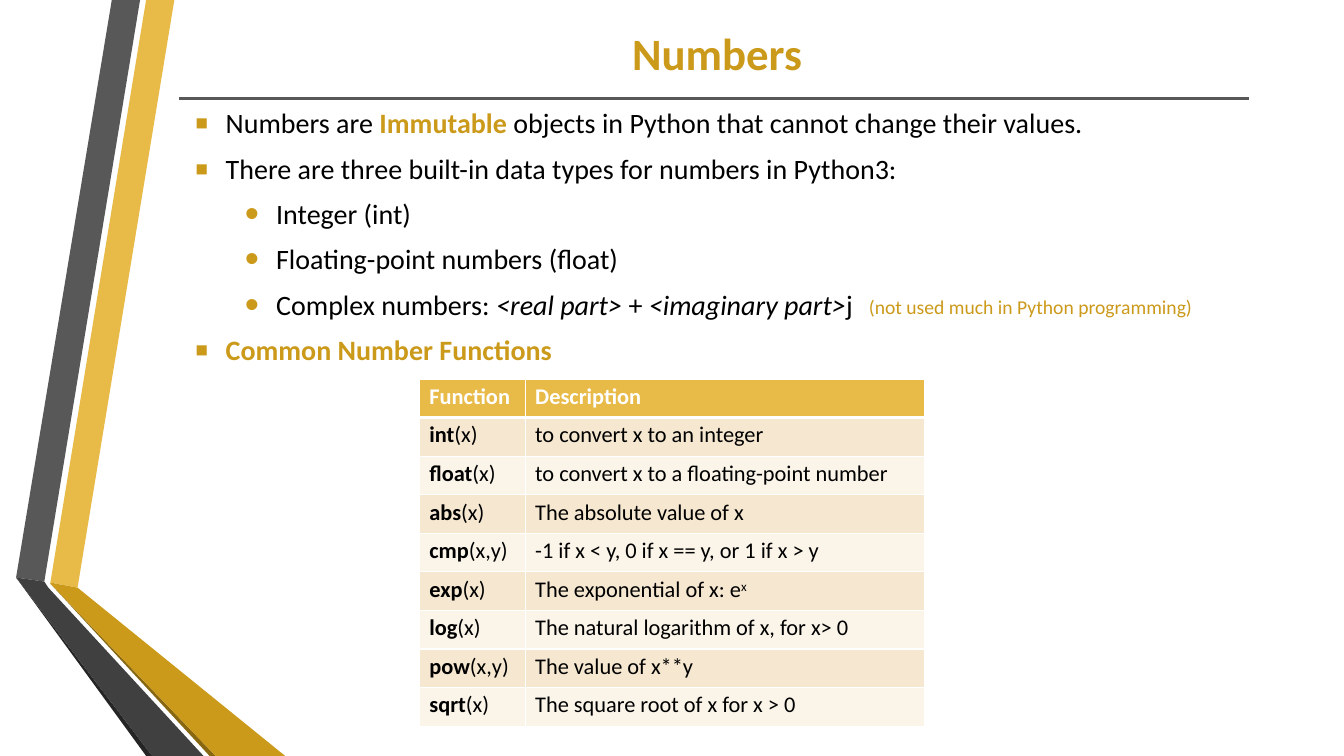
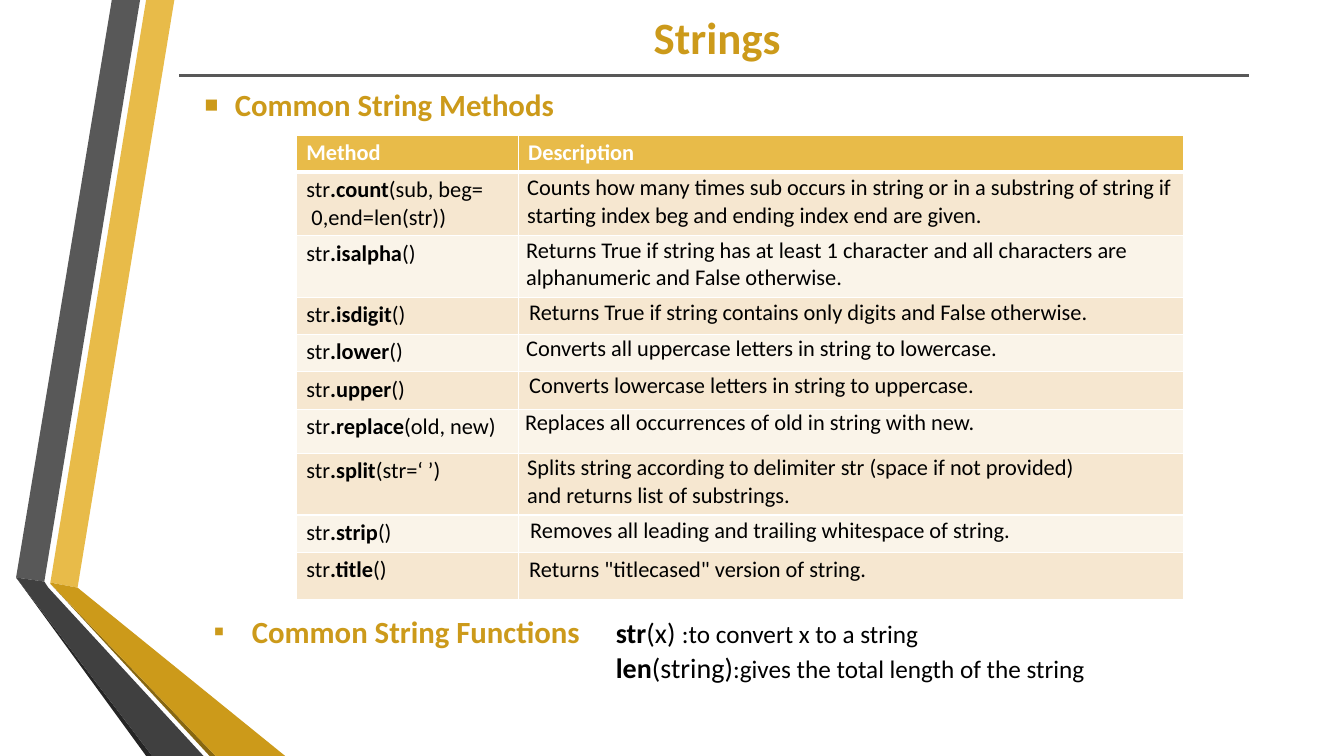
import pptx
import pptx.dml.color
import pptx.enum.shapes
import pptx.enum.text
import pptx.oxml
import pptx.oxml.ns
import pptx.util
from lxml import etree

GOLD, AMBER, GREY, BLACK, WHITE = "CC9A1A", "E8BB49", "585858", "000000", "FFFFFF"
BANDS = ("F6E7D0", "FAF4E9")
RIBBONS = [
    (AMBER, [(17.3, 0), (14.5, 0), (5, 57.8), (7.7, 58.3)]),
    (GREY, [(13.9, 0), (11.1, 0), (1.6, 57.3), (4.4, 57.7)]),
    ("252525", [(1.6, 57.3), (14.5, 75), (15.1, 75)]),
    ("876711", [(5, 57.9), (20.8, 75), (21.4, 75)]),
    (GOLD, [(5, 57.8), (5, 57.9), (21.4, 75), (28.3, 75), (7.7, 58.3)]),
    ("404040", [(1.6, 57.3), (15.1, 75), (20.2, 75), (4.8, 58.3), (4.4, 57.7)]),
]
BOLD, PLAIN, ITALIC = {"bold": True}, {"bold": False}, {"italic": True}
ACCENT = {"color": GOLD, "bold": True}
SMALL = {"size": pptx.util.Pt(18)}
HEADING = {**ACCENT, "size": pptx.util.Pt(22)}
RAISED = {"baseline": "26000"}


def rgb(value):
    return pptx.dml.color.RGBColor.from_string(value)


def grid(count):
    return pptx.util.Inches(count / 10)


class Deck:
    text_style = {"name": "Calibri", "size": pptx.util.Pt(20), "color": BLACK}
    title_style = {**text_style, **ACCENT, "size": pptx.util.Pt(32)}
    cell_style = {**text_style, "size": pptx.util.Pt(16)}
    frame_style = {
        "margin_left": 0, "margin_right": 0, "margin_bottom": 0,
        "margin_top": grid(0.1),
        "vertical_anchor": pptx.enum.text.MSO_ANCHOR.TOP,
        "auto_size": pptx.enum.text.MSO_AUTO_SIZE.NONE,
        "word_wrap": True,
    }

    def __init__(self):
        self.presentation = pptx.Presentation()
        self.presentation.slide_width = grid(133.33)
        self.presentation.slide_height = grid(75)
        self.layout = self.presentation.slide_layouts[5]
        self.slide = None

    def apply(self, target, values):
        for attribute, value in values.items():
            setattr(target, attribute, value)

    def place(self, shape, box):
        edges = ("left", "top", "width", "height")
        self.apply(shape, dict(zip(edges, map(grid, box))))

    def add_runs(self, paragraph, runs, style):
        for text, *changes in runs:
            values = {**style, **(changes[0] if changes else {})}
            color, baseline = values.pop("color"), values.pop("baseline", None)
            for index, line in enumerate(text.split("\n")):
                if index:
                    paragraph.add_line_break()
                run = paragraph.add_run()
                run.text = line
                self.apply(run.font, values)
                run.font.color.rgb = rgb(color)
                if baseline:
                    run._r.get_or_add_rPr().set("baseline", baseline)

    def start_slide(self, title, box, rule_row):
        self.slide = self.presentation.slides.add_slide(self.layout)
        heading = self.slide.shapes.title
        self.place(heading, box)
        self.apply(heading.text_frame, {**self.frame_style, "word_wrap": False})
        paragraph = heading.text_frame.paragraphs[0]
        paragraph.alignment = pptx.enum.text.PP_ALIGN.CENTER
        self.add_runs(paragraph, [(title,)], self.title_style)
        self.rule(17.8, 123.9, rule_row)

    def rule(self, start, end, row):
        rule = self.slide.shapes.add_connector(
            pptx.enum.shapes.MSO_CONNECTOR.STRAIGHT,
            grid(start), grid(row), grid(end), grid(row))
        rule.line.color.rgb = rgb(GREY)
        rule.line.width = pptx.util.Pt(2.25)
        etree.SubElement(rule.element.spPr, pptx.oxml.ns.qn("a:effectLst"))

    def bullet(self, paragraph, mark, margin, hanging, percent):
        properties = paragraph._p.get_or_add_pPr()
        properties.set("marL", str(grid(margin)))
        properties.set("indent", str(-grid(hanging)))
        namespace = pptx.oxml.ns.nsdecls("a")
        for markup in (
            f'<a:buClr {namespace}><a:srgbClr val="{GOLD}"/></a:buClr>',
            f'<a:buSzPct {namespace} val="{percent * 1000}"/>',
            f'<a:buFont {namespace} typeface="Arial"/>',
            f'<a:buChar {namespace} char="{mark}"/>',
        ):
            properties.append(pptx.oxml.parse_xml(markup))

    def text(self, box, paragraphs, gap=8.4, hanging=3.1, percent=145):
        frame = self.slide.shapes.add_textbox(*map(grid, box)).text_frame
        self.apply(frame, self.frame_style)
        for index, (mark, margin, runs) in enumerate(paragraphs):
            paragraph = frame.add_paragraph() if index else frame.paragraphs[0]
            if index:
                paragraph.space_before = pptx.util.Pt(gap)
            if mark:
                self.bullet(paragraph, mark, margin, hanging, percent)
            self.add_runs(paragraph, runs, self.text_style)

    def cell(self, cell, runs, fill, style, insets, edges):
        self.apply(cell, {
            "margin_left": grid(insets[0]), "margin_top": grid(insets[1]),
            "margin_right": 0, "margin_bottom": 0,
        })
        cell.fill.solid()
        cell.fill.fore_color.rgb = rgb(fill)
        self.add_runs(cell.text_frame.paragraphs[0], runs, style)
        properties = cell._tc.get_or_add_tcPr()
        for index, (side, points) in enumerate(edges.items()):
            properties.insert(index, pptx.oxml.parse_xml(
                f'<a:ln{side} {pptx.oxml.ns.nsdecls("a")} w="{pptx.util.Pt(points)}">'
                f'<a:solidFill><a:srgbClr val="{WHITE}"/></a:solidFill></a:ln{side}>'))

    def table(self, left, top, widths, heights, header, entries):
        table = self.slide.shapes.add_table(
            len(heights), len(widths), grid(left), grid(top),
            grid(sum(widths)), grid(sum(heights))).table
        for column, width in zip(table.columns, widths):
            column.width = grid(width)
        for row, height in zip(table.rows, heights):
            row.height = grid(height)
        header_style = {**self.cell_style, "color": WHITE, "bold": True}
        body_style = {**self.cell_style, **PLAIN}
        records = [([(label,)] for label in header)]
        records += [entry[:2] for entry in entries]
        insets = [(1, 0.4)] + [entry[2] for entry in entries]
        for index, record in enumerate(records):
            fill = BANDS[(index - 1) % 2] if index else AMBER
            style = body_style if index else header_style
            edges = {"L": 1, "R": 1, "T": 3 if index == 1 else 1, "B": 1 if index else 3}
            for column, runs in enumerate(record):
                inset = insets[index] if column else (1, 0.4)
                self.cell(table.cell(index, column), runs, fill, style, inset, edges)

    def ribbons(self):
        for index, (color, corners) in enumerate(RIBBONS):
            points = [(grid(x), grid(y)) for x, y in corners]
            builder = self.slide.shapes.build_freeform(*points[0], scale=1)
            builder.add_line_segments(points[1:], close=True)
            ribbon = builder.convert_to_shape()
            ribbon.shadow.inherit = False
            ribbon.fill.solid()
            ribbon.fill.fore_color.rgb = rgb(color)
            ribbon.line.fill.background()
            ribbon.element.nvSpPr.cNvPr.id = 100 + index
            self.layout.shapes.element.append(ribbon.element)


def numbers(deck):
    deck.start_slide("Numbers", (62.6, 2.5, 17.1, 5.6), 9.8)
    deck.text((19.1, 10.4, 92, 12.9), [
        ("▪", 3.3, [("Numbers are ",), ("Immutable ", ACCENT),
                    ("objects in Python that cannot change their values.",)]),
        ("▪", 3.3, [("There are three built-in data types for numbers in Python3:",)]),
        ("•", 8.3, [("Integer (int)",)]),
    ])
    deck.text((24.1, 23.9, 62, 8.4), [
        ("•", 3.3, [("Floating-point numbers (float)",)]),
        ("•", 3.3, [("Complex numbers: ",), ("<real part> ", ITALIC), ("+ ",),
                    ("<imaginary part>", ITALIC), ("j",)]),
    ])
    remark = {"color": GOLD, "size": pptx.util.Pt(14)}
    deck.text((86.2, 29.2, 34, 2.6), [
        (None, 0, [("(not used much in Python programming)", remark)])])
    deck.text((19.1, 32.9, 37, 3.6), [
        ("▪", 3.3, [("Common Number Functions", ACCENT)])])
    functions = [
        ("int", "(x)", [("to convert x to an integer",)]),
        ("float", "(x)", [("to convert x to a floating-point number",)]),
        ("abs", "(x)", [("The absolute value of x",)]),
        ("cmp", "(x,y)", [("-1 if x < y, 0 if x == y, or 1 if x > y",)]),
        ("exp", "(x)", [("The exponential of x: e",), ("x", RAISED)]),
        ("log", "(x)", [("The natural logarithm of x, for x> 0",)]),
        ("pow", "(x,y)", [("The value of x**y",)]),
        ("sqrt", "(x)", [("The square root of x for x > 0",)]),
    ]
    entries = [([(name, BOLD), (arguments,)], description, (1, 0.4))
               for name, arguments, description in functions]
    deck.table(41.6, 37.6, (10.5, 39.6), [3.83] * 9, ("Function", "Description"), entries)


def strings(deck):
    deck.start_slide("Strings", (64.7, 0.9, 12.9, 5.6), 7.5)
    deck.text((20, 8.4, 37, 3.9), [("▪", 3.3, [("Common String Methods", HEADING)])])
    methods = [
        (6.3, "count", "(sub, beg=\n 0,end=len(str))",
         "Counts how many times sub occurs in string or in a substring of string if\n"
         "starting index beg and ending index end are given.", (0.9, 0.2)),
        (6.1, "isalpha", "()",
         "Returns True if string has at least 1 character and all characters are\n"
         "alphanumeric and False otherwise.", (0.8, 0.1)),
        (3.7, "isdigit", "()",
         "Returns True if string contains only digits and False otherwise.", (1.1, 0.2)),
        (3.7, "lower", "()",
         "Converts all uppercase letters in string to lowercase.", (0.8, 0.1)),
        (3.7, "upper", "()",
         "Converts lowercase letters in string to uppercase.", (1.1, 0)),
        (4.4, "replace", "(old, new)",
         "Replaces all occurrences of old in string with new.", (0.7, 0)),
        (6.1, "split", "(str=‘ ’)",
         "Splits string according to delimiter str (space if not provided)\n"
         "and returns list of substrings.", (0.9, 0.1)),
        (3.7, "strip", "()",
         "Removes all leading and trailing whitespace of string.", (1.2, 0.2)),
        (4.7, "title", "()",
         "Returns \"titlecased\" version of string.", (1.1, 0.4)),
    ]
    heights = [3.7] + [method[0] for method in methods]
    entries = [([("str",), ("." + name, BOLD), (arguments,)], [(description,)], insets)
               for _, name, arguments, description, insets in methods]
    deck.table(29.4, 13.4, (22, 66), heights, ("Method", "Description"), entries)
    deck.text((21.1, 60.7, 38, 3.9), [("▪", 3.9, [("Common String Functions", HEADING)])],
              hanging=3.8, percent=100)
    deck.text((61.1, 61, 48, 7), [
        (None, 0, [("str", BOLD), ("(x) ",), (":to convert x to a string", SMALL)]),
        (None, 0, [("len", BOLD), ("(string)",),
                   (":gives the total length of the string", SMALL)]),
    ], gap=0.5)


def main():
    deck = Deck()
    numbers(deck)
    strings(deck)
    deck.ribbons()
    deck.presentation.save("out.pptx")


if __name__ == "__main__":
    main()
